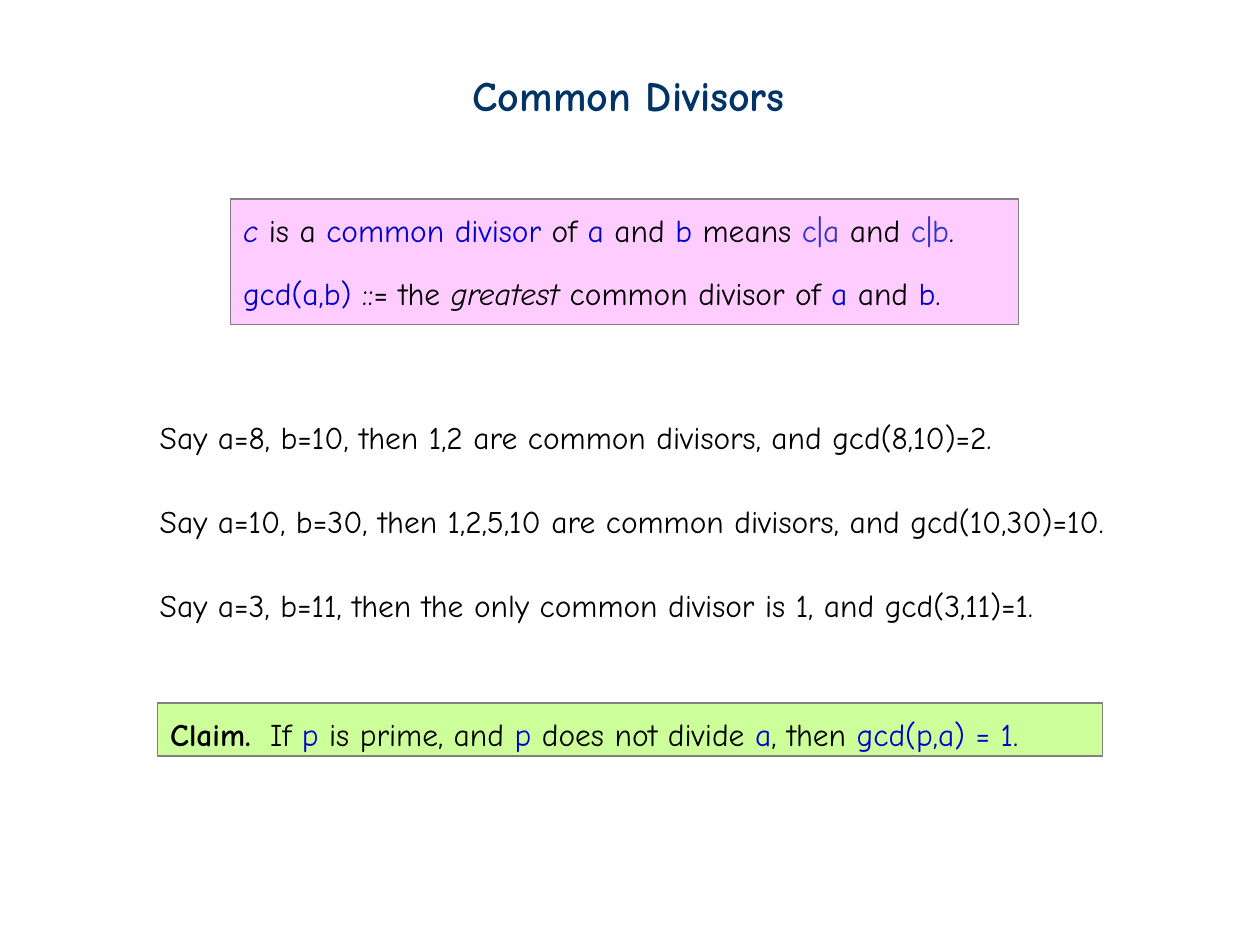
from dataclasses import dataclass

from pptx import Presentation
from pptx.dml.color import RGBColor
from pptx.enum.shapes import MSO_SHAPE as Preset
from pptx.enum.text import MSO_ANCHOR as Anchor, MSO_AUTO_SIZE as AutoSize, PP_ALIGN as Align
from pptx.slide import Slide
from pptx.text.text import TextFrame, _Paragraph as Paragraph
from pptx.util import Cm, Pt

FONT = "Comic Neue"
BODY_SIZE = 18
HANGING_INDENT = Cm(0.95)
COLORS = {
    "text": "000000",
    "title": "003366",
    "term": "0000CC",
    "divides": "3333CC",
    "border": "808080",
    "definition": "FFCCFF",
    "claim": "CCFF99",
}


@dataclass(frozen=True)
class Span:
    text: str
    color: str = "text"
    bold: bool = False
    italic: bool = False
    tracking: int = 0


@dataclass(frozen=True)
class Line:
    spans: tuple[Span, ...]
    spacing: float = 1.0


@dataclass(frozen=True)
class Panel:
    left: float
    top: float
    width: float
    height: float
    fill: str
    lines: tuple[Line, ...]


@dataclass(frozen=True)
class Example:
    text: str
    width: float


def term(text: str) -> Span:
    return Span(text, "term")


PANELS = (
    Panel(4.65, 4.01, 15.88, 2.54, "definition", (
        Line((
            Span("c", "term", italic=True), Span(" is a "), term("common divisor"),
            Span(" of "), term("a"), Span(" and "), term("b"), Span(" means "),
            Span("c|a ", "divides"), Span("and "), Span("c|b", "divides"), Span("."),
        )),
        Line((
            term("gcd(a,b) "), Span("::= the "), Span("greatest", italic=True),
            Span(" common divisor of "), term("a"), Span(" and "), term("b"), Span("."),
        ), 1.5),
    )),
    Panel(3.18, 14.17, 19.05, 1.07, "claim", (
        Line((
            Span("Claim.", bold=True), Span(" ", tracking=500), Span("If "), term("p"),
            Span(" is prime, and"), term(" p "), Span("does not divide"), term(" a"),
            Span(", then "), term("gcd(p,a) = 1"), Span("."),
        )),
    )),
)

EXAMPLES = (
    Example("Say a=8, b=10, then 1,2 are common divisors, and gcd(8,10)=2.", 18.67),
    Example("Say a=10, b=30, then 1,2,5,10 are common divisors, and gcd(10,30)=10.", 21.16),
    Example("Say a=3, b=11, then the only common divisor is 1, and gcd(3,11)=1.", 19.56),
)
EXAMPLE_LEFT, EXAMPLE_TOP, EXAMPLE_STEP, EXAMPLE_HEIGHT = 2.97, 8.31, 1.69, 1.02


def rgb(name: str) -> RGBColor:
    return RGBColor.from_string(COLORS[name])


def add_span(paragraph: Paragraph, span: Span, size: int = BODY_SIZE) -> None:
    run = paragraph.add_run()
    run.text = span.text
    run.font.name = FONT
    run.font.size = Pt(size)
    run.font.bold = span.bold
    run.font.italic = span.italic
    run.font.color.rgb = rgb(span.color)
    if span.tracking:
        run.font._element.set("spc", str(span.tracking))


def prepare_frame(frame: TextFrame) -> None:
    frame.word_wrap = True
    frame.auto_size = AutoSize.NONE
    frame.vertical_anchor = Anchor.TOP


def add_title(slide: Slide, text: str) -> None:
    title = slide.shapes.title
    title.left, title.top, title.width, title.height = Cm(9.07), Cm(1.27), Cm(7.21), Cm(1.27)
    prepare_frame(title.text_frame)
    paragraph = title.text_frame.paragraphs[0]
    paragraph.alignment = Align.CENTER
    add_span(paragraph, Span(text, "title", bold=True), 24)


def add_panel(slide: Slide, panel: Panel) -> None:
    shape = slide.shapes.add_shape(
        Preset.RECTANGLE, Cm(panel.left), Cm(panel.top), Cm(panel.width), Cm(panel.height))
    shape.shadow.inherit = False
    shape.fill.solid()
    shape.fill.fore_color.rgb = rgb(panel.fill)
    shape.line.color.rgb = rgb("border")
    shape.line.width = Pt(0.75)
    frame = shape.text_frame
    prepare_frame(frame)
    frame.margin_top = Cm(0.25)
    for index, line in enumerate(panel.lines):
        paragraph = frame.add_paragraph() if index else frame.paragraphs[0]
        paragraph.alignment = Align.LEFT
        paragraph.line_spacing = line.spacing
        paragraph.space_before = Pt(3.6 if index else 0)
        properties = paragraph._p.get_or_add_pPr()
        properties.set("marL", str(HANGING_INDENT))
        properties.set("indent", str(-HANGING_INDENT))
        for span in line.spans:
            add_span(paragraph, span)


def add_example(slide: Slide, example: Example, index: int) -> None:
    box = slide.shapes.add_textbox(
        Cm(EXAMPLE_LEFT), Cm(EXAMPLE_TOP + index * EXAMPLE_STEP),
        Cm(example.width), Cm(EXAMPLE_HEIGHT))
    prepare_frame(box.text_frame)
    add_span(box.text_frame.paragraphs[0], Span(example.text))


def main() -> None:
    presentation = Presentation()
    presentation.slide_width = Cm(25.4)
    presentation.slide_height = Cm(19.05)
    slide = presentation.slides.add_slide(presentation.slide_layouts.get_by_name("Title Only"))
    add_title(slide, "Common Divisors")
    for panel in PANELS:
        add_panel(slide, panel)
    for index, example in enumerate(EXAMPLES):
        add_example(slide, example, index)
    presentation.save("out.pptx")


if __name__ == "__main__":
    main()
